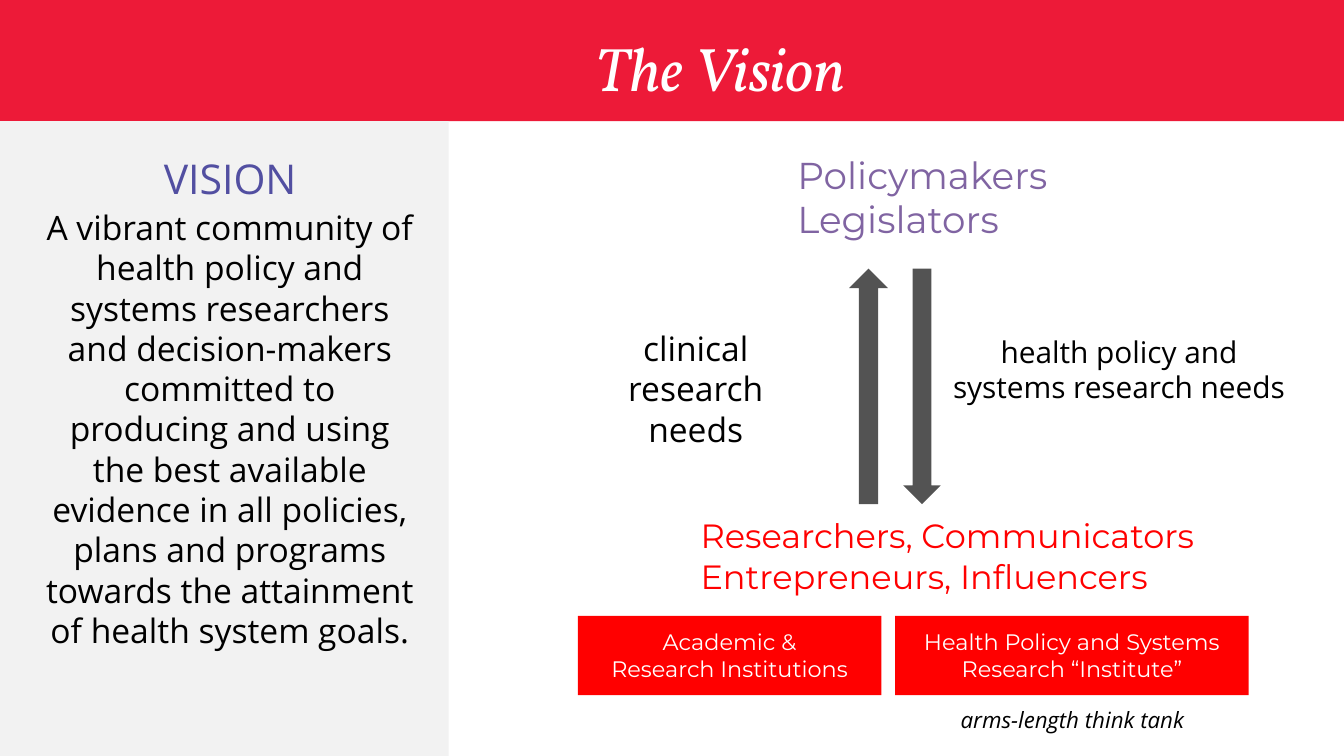
from dataclasses import dataclass

from pptx import Presentation
from pptx.dml.color import RGBColor
from pptx.enum.shapes import MSO_SHAPE
from pptx.enum.text import MSO_ANCHOR, MSO_AUTO_SIZE, PP_ALIGN
from pptx.util import Cm, Pt

RECTANGLE = MSO_SHAPE.RECTANGLE
UP_ARROW, DOWN_ARROW = MSO_SHAPE.UP_ARROW, MSO_SHAPE.DOWN_ARROW
LEFT, CENTER = PP_ALIGN.LEFT, PP_ALIGN.CENTER
TOP, MIDDLE = MSO_ANCHOR.TOP, MSO_ANCHOR.MIDDLE
NO_AUTOFIT = MSO_AUTO_SIZE.NONE

TITLE_ONLY_LAYOUT = 5
TITLE_FONT, BODY_FONT, LABEL_FONT = "Vollkorn", "Open Sans", "Montserrat"
COLORS = {
    "banner": "ED1A38",
    "panel": "F2F2F2",
    "heading": "524FA1",
    "policy": "8064A2",
    "research": "FF0000",
    "arrow": "535353",
    "black": "000000",
    "white": "FFFFFF",
}


@dataclass
class Box:
    """Position and size in centimetres."""
    left: float
    top: float
    width: float
    height: float

    def lengths(self):
        return Cm(self.left), Cm(self.top), Cm(self.width), Cm(self.height)


@dataclass
class Label:
    box: Box
    text: str
    size: int
    color: str = "black"
    font: str = BODY_FONT
    align: PP_ALIGN = CENTER
    anchor: MSO_ANCHOR = TOP
    italic: bool = False


def write_text(shape, text: str, *, size: int, color: str, font: str = BODY_FONT,
               align: PP_ALIGN = CENTER, anchor: MSO_ANCHOR = TOP,
               italic: bool = False) -> None:
    frame = shape.text_frame
    frame.word_wrap = True
    frame.auto_size = NO_AUTOFIT
    frame.vertical_anchor = anchor
    frame.margin_left = frame.margin_right = Cm(0.13)
    frame.margin_top = frame.margin_bottom = Cm(0.13)
    frame.text = text
    for paragraph in frame.paragraphs:
        paragraph.alignment = align
        paragraph.font.size = Pt(size)
        paragraph.font.name = font
        paragraph.font.italic = italic
        paragraph.font.color.rgb = RGBColor.from_string(COLORS[color])


def add_filled_shape(slide, kind: MSO_SHAPE, box: Box, color: str):
    shape = slide.shapes.add_shape(kind, *box.lengths())
    shape.shadow.inherit = False
    shape.fill.solid()
    shape.fill.fore_color.rgb = RGBColor.from_string(COLORS[color])
    shape.line.fill.background()
    return shape


def add_label(slide, label: Label) -> None:
    text_box = slide.shapes.add_textbox(*label.box.lengths())
    write_text(text_box, label.text, size=label.size, color=label.color,
               font=label.font, align=label.align, anchor=label.anchor,
               italic=label.italic)


LABELS = [
    Label(Box(0.97, 2.77, 6.76, 1.32), "VISION", 22, "heading"),
    Label(Box(0.66, 3.78, 7.37, 9.58),
          "A vibrant community of health policy and systems researchers and "
          "decision-makers committed to producing and using the best available "
          "evidence in all policies, plans and programs towards the attainment "
          "of health system goals.", 18),
    Label(Box(14.94, 2.74, 5.74, 1.96), "Policymakers\nLegislators", 20,
          "policy", LABEL_FONT, LEFT),
    Label(Box(10.85, 6.07, 4.6, 2.79), "clinical research needs", 18),
    Label(Box(17.81, 6.17, 6.68, 2.59),
          "health policy and systems research needs", 16),
    Label(Box(13.11, 9.6, 10.01, 1.8),
          "Researchers, Communicators\nEntrepreneurs, Influencers", 18,
          "research", LABEL_FONT, LEFT, MIDDLE),
    Label(Box(16.51, 13.21, 7.52, 0.86), "arms-length think tank", 12, italic=True),
]

ARROWS = [
    (UP_ARROW, Box(16.05, 5.08, 0.73, 4.45)),
    (DOWN_ARROW, Box(17.07, 5.08, 0.71, 4.45)),
]

INSTITUTIONS = [
    (Box(10.92, 11.64, 5.74, 1.5), "Academic &\nResearch Institutions"),
    (Box(16.92, 11.64, 6.68, 1.5),
     "Health Policy and Systems Research “Institute”"),
]


def main() -> None:
    presentation = Presentation()
    presentation.slide_width, presentation.slide_height = Cm(25.4), Cm(14.29)
    slide = presentation.slides.add_slide(
        presentation.slide_layouts[TITLE_ONLY_LAYOUT])

    # Banner, placed behind the title
    title = slide.shapes.title
    banner = add_filled_shape(slide, RECTANGLE, Box(0, 0, 25.4, 2.29), "banner")
    title.element.addprevious(banner.element)
    title.left, title.top, title.width, title.height = Box(
        2.18, 0.43, 22.86, 2.39).lengths()
    write_text(title, "The Vision", size=33, color="white", font=TITLE_FONT,
               italic=True)

    # Side panel and all free-standing text
    add_filled_shape(slide, RECTANGLE, Box(0, 2.29, 8.48, 12), "panel")
    for label in LABELS:
        add_label(slide, label)

    # Exchange between policymakers and researchers
    for kind, box in ARROWS:
        add_filled_shape(slide, kind, box, "arrow")

    # Institutions
    for box, text in INSTITUTIONS:
        institution = add_filled_shape(slide, RECTANGLE, box, "research")
        write_text(institution, text, size=12, color="white", font=LABEL_FONT,
                   anchor=MIDDLE)

    presentation.save("out.pptx")


if __name__ == "__main__":
    main()
